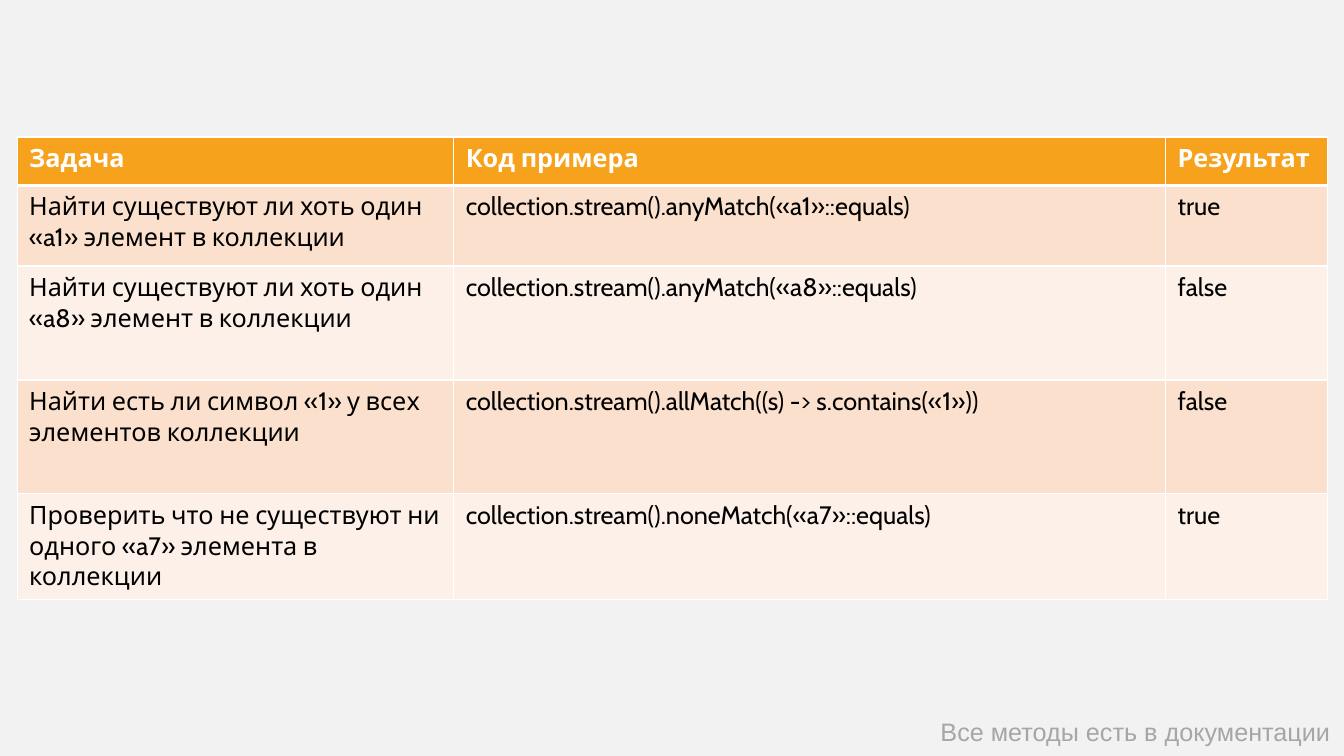
from lxml import etree
from pptx import Presentation
from pptx.dml.color import RGBColor as RGB
from pptx.enum.text import MSO_AUTO_SIZE as AutoSize
from pptx.oxml.ns import qn
from pptx.util import Inches, Pt

COLORS = {
    "background": "F2F2F2",
    "header": "F6A21D",
    "odd_row": "FBE0CD",
    "even_row": "FDF0E8",
    "white": "FFFFFF",
    "text": "000000",
    "note": "A6A6A6",
}
COLUMN_WIDTHS = [4.33, 7.06, 1.61]
ROW_HEIGHTS = [0.48, 0.8, 1.13, 1.13, 0.8]
ROWS = [
    ("Задача", "Код примера", "Результат"),
    ("Найти существуют ли хоть один «a1» элемент в коллекции",
     "collection.stream().anyMatch(«a1»::equals)", "true"),
    ("Найти существуют ли хоть один «a8» элемент в коллекции",
     "collection.stream().anyMatch(«a8»::equals)", "false"),
    ("Найти есть ли символ «1» у всех элементов коллекции",
     "collection.stream().allMatch((s) -> s.contains(«1»))", "false"),
    ("Проверить что не существуют ни одного «a7» элемента в коллекции",
     "collection.stream().noneMatch(«a7»::equals)", "true"),
]


class SlideBuilder:
    def __init__(self, prs, size=18):
        self.size = size
        self.slide = prs.slides.add_slide(prs.slide_layouts[6])
        fill = self.slide.background.fill
        fill.solid()
        fill.fore_color.rgb = RGB.from_string(COLORS["background"])

    def set_text(self, tf, text, font, color, bold=False):
        tf.text = text
        r = tf.paragraphs[0].runs[0]
        r.font.name = font
        r.font.size = Pt(self.size)
        r.font.bold = bold
        r.font.color.rgb = RGB.from_string(COLORS[color])

    def note(self, text, left, top, width, height):
        sp = self.slide.shapes.add_textbox(
            Inches(left), Inches(top), Inches(width), Inches(height))
        tf = sp.text_frame
        self.set_text(tf, text, "Arial", "note")
        tf.word_wrap = False
        tf.auto_size = AutoSize.SHAPE_TO_FIT_TEXT

    def borders(self, cell, widths):
        """Draw white cell edges; widths maps L, R, T, B to points."""
        tcPr = cell._tc.get_or_add_tcPr()
        for side, width in widths.items():
            ln = etree.SubElement(tcPr, qn(f"a:ln{side}"), w=str(Pt(width)))
            fill = etree.SubElement(ln, qn("a:solidFill"))
            etree.SubElement(fill, qn("a:srgbClr"), val=COLORS["white"])

    def cell(self, cell, text, row):
        is_header = row == 0
        # Schema order: borders come before the fill
        self.borders(cell, {"L": 1, "R": 1, "T": 3 if row == 1 else 1,
                            "B": 3 if is_header else 1})
        fill = "header" if is_header else ("even_row", "odd_row")[row % 2]
        cell.fill.solid()
        cell.fill.fore_color.rgb = RGB.from_string(COLORS[fill])
        cell.margin_left = cell.margin_right = Inches(0.12)
        cell.margin_top = Inches(0.06)
        cell.margin_bottom = Inches(0.09)
        self.set_text(cell.text_frame, text, "Cabin",
                      "white" if is_header else "text", is_header)

    def table(self, rows, left, top, widths, heights):
        table = self.slide.shapes.add_table(
            len(rows), len(widths), Inches(left), Inches(top),
            Inches(sum(widths)), Inches(sum(heights))).table
        for column, width in zip(table.columns, widths):
            column.width = Inches(width)
        for i, (texts, height) in enumerate(zip(rows, heights)):
            table.rows[i].height = Inches(height)
            for j, text in enumerate(texts):
                self.cell(table.cell(i, j), text, i)


def main():
    prs = Presentation()
    prs.slide_width, prs.slide_height = Inches(13.33), Inches(7.5)
    s = SlideBuilder(prs)
    s.note("Все методы есть в документации", 9.23, 7.06, 4.1, 0.4)
    s.table(ROWS, 0.17, 1.36, COLUMN_WIDTHS, ROW_HEIGHTS)
    prs.save("out.pptx")


if __name__ == "__main__":
    main()
